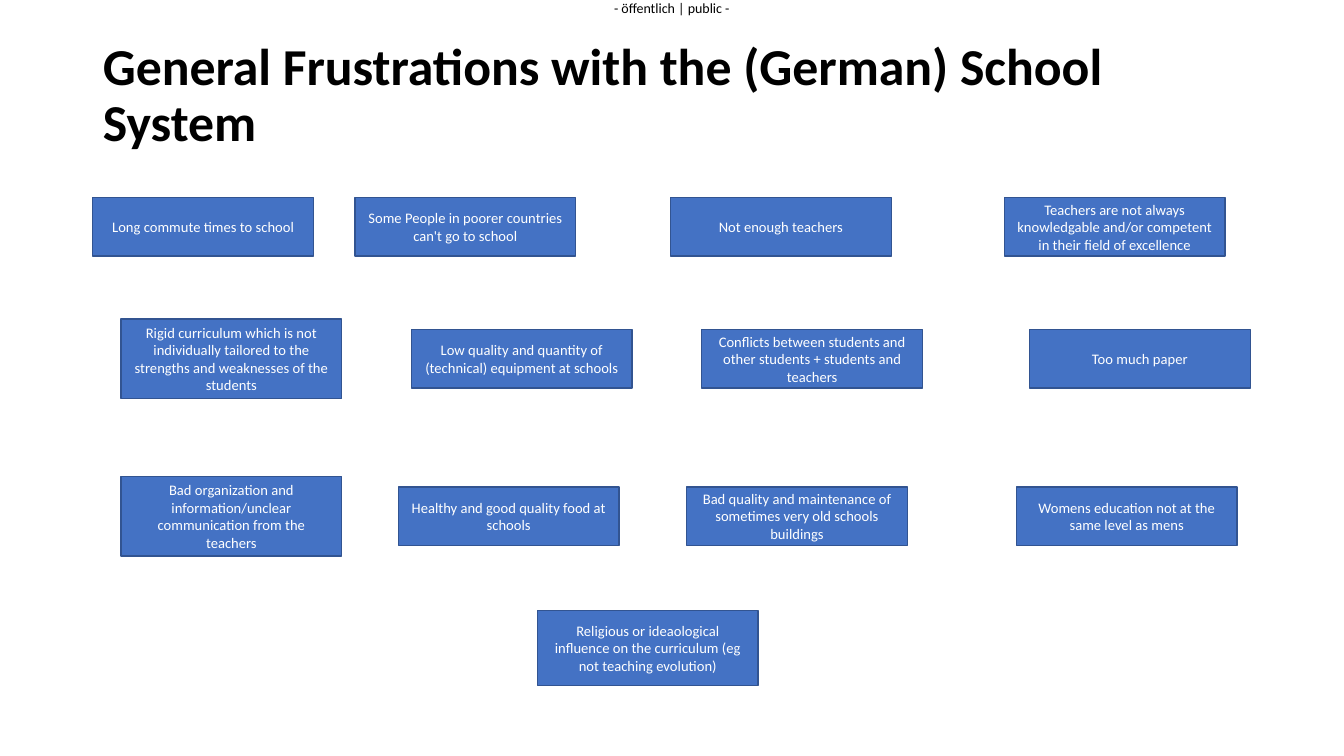
from dataclasses import dataclass

from pptx import Presentation
from pptx.dml.color import RGBColor
from pptx.enum.shapes import MSO_SHAPE
from pptx.enum.text import MSO_ANCHOR, MSO_AUTO_SIZE, PP_ALIGN
from pptx.slide import Slide
from pptx.text.text import _Paragraph
from pptx.util import Inches, Pt

FONT = "Calibri"
BLACK = RGBColor(0x00, 0x00, 0x00)
WHITE = RGBColor(0xFF, 0xFF, 0xFF)
BLUE = RGBColor(0x44, 0x72, 0xC4)
DARK_BLUE = RGBColor(0x32, 0x54, 0x91)

BOX_WIDTH = 2.19
BOX_HEIGHT = 0.58
TALL_HEIGHT = 0.79


@dataclass
class Frustration:
    text: str
    left: float
    height: float = BOX_HEIGHT


@dataclass
class Row:
    middle: float
    frustrations: list[Frustration]


ROWS = [
    Row(2.25, [
        Frustration("Long commute times to school", 0.92),
        Frustration("Some People in poorer countries can't go to school", 3.52),
        Frustration("Not enough teachers", 6.65),
        Frustration("Teachers are not always knowledgable and/or competent "
                    "in their field of excellence", 9.96),
    ]),
    Row(3.56, [
        Frustration("Rigid curriculum which is not individually tailored to the "
                    "strengths and weaknesses of the students", 1.2, TALL_HEIGHT),
        Frustration("Low quality and quantity of (technical) equipment at schools", 4.08),
        Frustration("Conflicts between students and other students + students "
                    "and teachers", 6.96),
        Frustration("Too much paper", 10.21),
    ]),
    Row(5.12, [
        Frustration("Bad organization and information/unclear communication "
                    "from the teachers", 1.2, TALL_HEIGHT),
        Frustration("Healthy and good quality food at schools", 3.95),
        Frustration("Bad quality and maintenance of sometimes very old schools "
                    "buildings", 6.81),
        Frustration("Womens education not at the same level as mens", 10.08),
    ]),
    Row(6.43, [
        Frustration("Religious or ideaological influence on the curriculum "
                    "(eg not teaching evolution)", 5.33, 0.74),
    ]),
]


def format_paragraph(paragraph: _Paragraph, size: float, color: RGBColor,
                     alignment: PP_ALIGN, space_after: float = 6) -> None:
    paragraph.alignment = alignment
    paragraph.space_after = Pt(space_after)
    paragraph.font.name = FONT
    paragraph.font.size = Pt(size)
    paragraph.font.color.rgb = color


def add_classification(slide: Slide) -> None:
    text_box = slide.shapes.add_textbox(Inches(6.09), 0, Inches(1.18), Inches(0.17))
    frame = text_box.text_frame
    frame.margin_left = frame.margin_right = frame.margin_top = frame.margin_bottom = 0
    frame.word_wrap = False
    frame.auto_size = MSO_AUTO_SIZE.SHAPE_TO_FIT_TEXT
    frame.text = "- öffentlich | public -"
    format_paragraph(frame.paragraphs[0], 10, BLACK, PP_ALIGN.LEFT, space_after=0)


def set_title(slide: Slide, text: str) -> None:
    title = slide.shapes.title
    title.left, title.top = Inches(0.92), Inches(0.37)
    title.width, title.height = Inches(11.49), Inches(1.18)
    frame = title.text_frame
    frame.text = text
    frame.auto_size = MSO_AUTO_SIZE.NONE
    frame.vertical_anchor = MSO_ANCHOR.MIDDLE
    paragraph = frame.paragraphs[0]
    format_paragraph(paragraph, 37, BLACK, PP_ALIGN.LEFT)
    paragraph.line_spacing = 0.9
    paragraph.font.bold = True


def add_frustration(slide: Slide, frustration: Frustration, middle: float) -> None:
    shape = slide.shapes.add_shape(
        MSO_SHAPE.RECTANGLE,
        Inches(frustration.left), Inches(middle - frustration.height / 2),
        Inches(BOX_WIDTH), Inches(frustration.height))
    shape.shadow.inherit = False
    shape.fill.solid()
    shape.fill.fore_color.rgb = BLUE
    shape.line.color.rgb = DARK_BLUE
    shape.line.width = Pt(1)
    frame = shape.text_frame
    frame.word_wrap = True
    frame.vertical_anchor = MSO_ANCHOR.MIDDLE
    frame.text = frustration.text
    format_paragraph(frame.paragraphs[0], 10.4, WHITE, PP_ALIGN.CENTER)


presentation = Presentation()
presentation.slide_width = Inches(13.33)
presentation.slide_height = Inches(7.5)
slide = presentation.slides.add_slide(presentation.slide_layouts.get_by_name("Title Only"))

# Heading
add_classification(slide)
set_title(slide, "General Frustrations with the (German) School System")

# Boxes, centred vertically on their row
for row in ROWS:
    for frustration in row.frustrations:
        add_frustration(slide, frustration, row.middle)

presentation.save("out.pptx")
